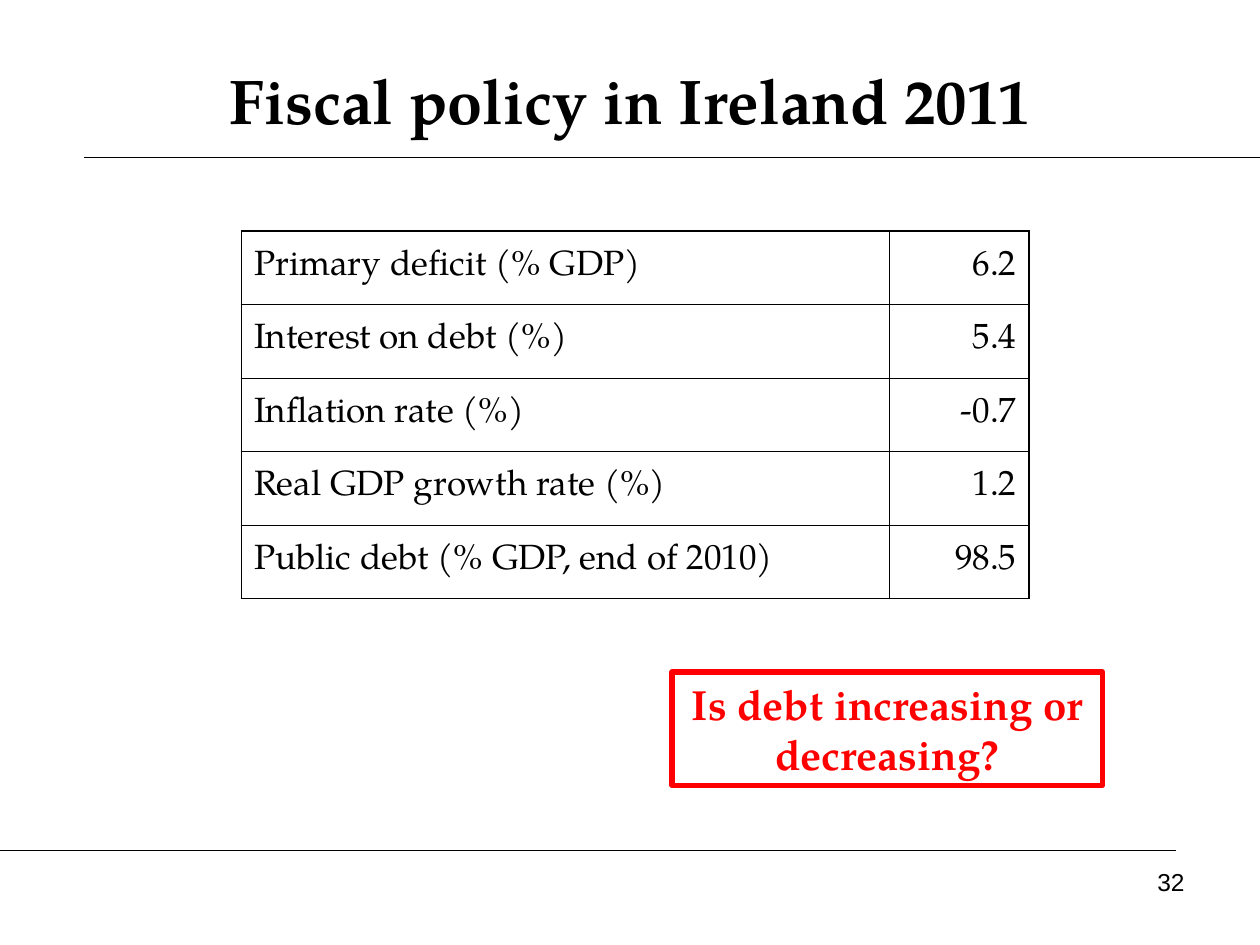
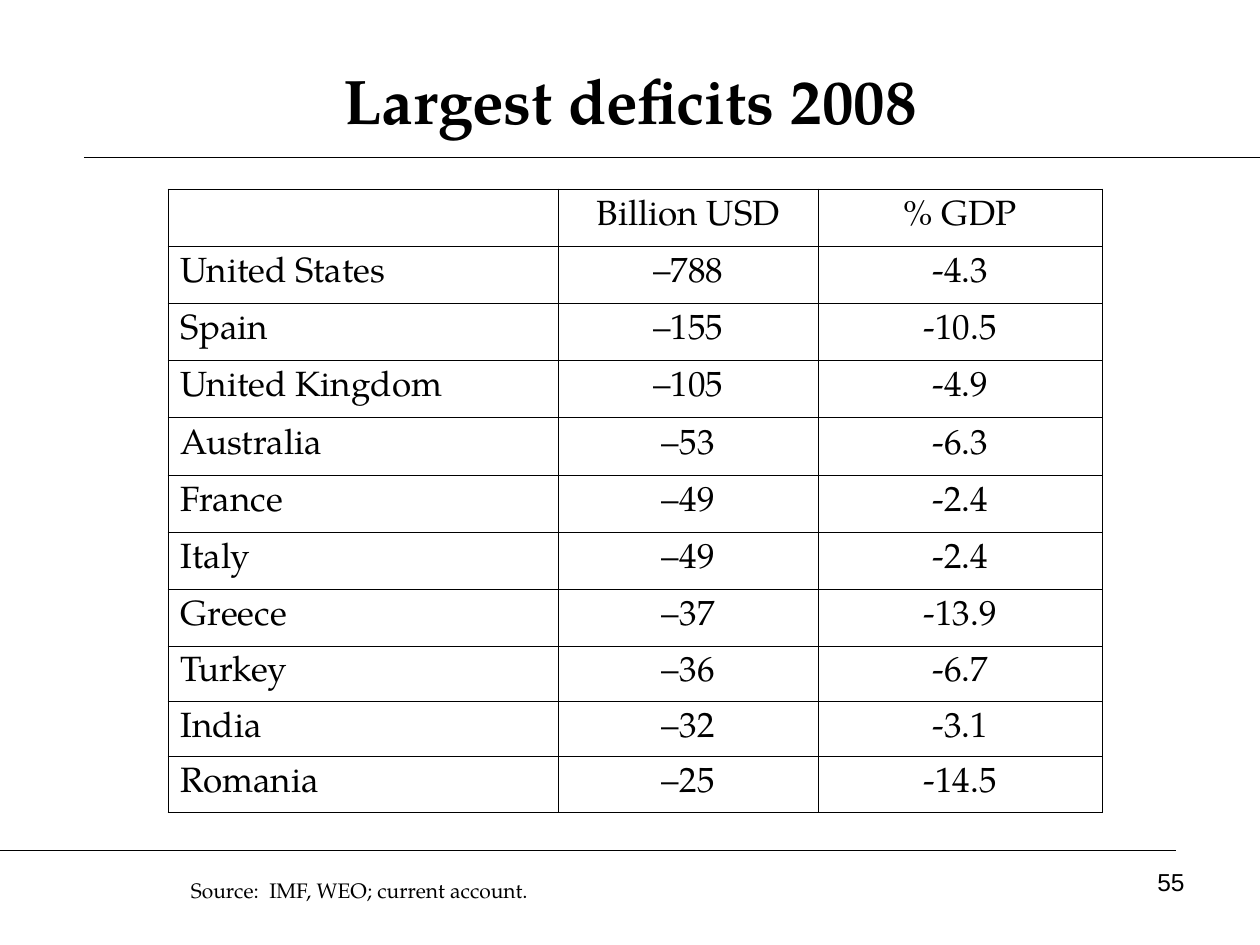
from lxml.etree import SubElement
from pptx import Presentation
from pptx.dml.color import RGBColor
from pptx.enum.shapes import MSO_CONNECTOR as Connector, MSO_SHAPE as Preset
from pptx.enum.text import MSO_ANCHOR as Anchor, PP_ALIGN as Align
from pptx.oxml.ns import qn
from pptx.util import Inches, Pt

UNIT = Inches(1) // 12
BLACK, RED = "000000", "FF0000"
SERIF, SANS = "TeX Gyre Pagella", "Arial"
THIN, THICK = 0.45, 1.08

IRELAND = [
    ("Primary deficit (% GDP)", "6.2"),
    ("Interest on debt (%)", "5.4"),
    ("Inflation rate (%)", "-0.7"),
    ("Real GDP growth rate (%)", "1.2"),
    ("Public debt (% GDP, end of 2010)", "98.5"),
]
DEFICITS = [
    ("", "Billion USD", "% GDP"),
    ("United States", "–788", "-4.3"),
    ("Spain", "–155", "-10.5"),
    ("United Kingdom", "–105", "-4.9"),
    ("Australia", "–53", "-6.3"),
    ("France", "–49", "-2.4"),
    ("Italy", "–49", "-2.4"),
    ("Greece", "–37", "-13.9"),
    ("Turkey", "–36", "-6.7"),
    ("India", "–32", "-3.1"),
    ("Romania", "–25", "-14.5"),
]


def color(code):
    return RGBColor.from_string(code)


def grid(*units):
    return [round(unit * UNIT) for unit in units]


def write(frame, text, size=20, font=SERIF, ink=BLACK, bold=False,
          align=Align.LEFT, anchor=Anchor.TOP):
    frame.word_wrap = True
    frame.vertical_anchor = anchor
    paragraph = frame.paragraphs[0]
    paragraph.text = text
    paragraph.alignment = align
    paragraph.font.size = Pt(size)
    paragraph.font.name = font
    paragraph.font.bold = bold
    paragraph.font.color.rgb = color(ink)


def add_label(slide, area, text, **style):
    label = slide.shapes.add_textbox(*grid(*area))
    write(label.text_frame, text, **style)


def add_rule(slide, start, end, row):
    rule = slide.shapes.add_connector(Connector.STRAIGHT, *grid(start, row, end, row))
    rule.line.color.rgb = color(BLACK)
    rule.line.width = Pt(0.75)
    SubElement(rule._element.spPr, qn("a:effectLst"))


def add_callout(slide, area, text):
    callout = slide.shapes.add_shape(Preset.RECTANGLE, *grid(*area))
    callout.shadow.inherit = False
    callout.fill.background()
    callout.line.color.rgb = color(RED)
    callout.line.width = Pt(3)
    write(callout.text_frame, text, size=24, ink=RED, bold=True, align=Align.CENTER)


def set_borders(cell, widths):
    properties = cell._tc.get_or_add_tcPr()
    for side, width in zip("LRTB", widths):
        border = SubElement(properties, qn(f"a:ln{side}"), w=str(Pt(width)))
        fill = SubElement(border, qn("a:solidFill"))
        SubElement(fill, qn("a:srgbClr"), val=BLACK)


def add_data_table(slide, corner, columns, heights, records, value_align, frame=THIN):
    area = grid(*corner, sum(columns), sum(heights))
    table = slide.shapes.add_table(len(records), len(columns), *area).table
    table.first_row = table.horz_banding = False
    for column, width in zip(table.columns, grid(*columns)):
        column.width = width
    for row, height in zip(table.rows, grid(*heights)):
        row.height = height
    last_row, last_column = len(records) - 1, len(columns) - 1
    for r, record in enumerate(records):
        for c, text in enumerate(record):
            cell = table.cell(r, c)
            outer = (c == 0, c == last_column, r == 0, r == last_row)
            set_borders(cell, [frame if edge else THIN for edge in outer])
            cell.fill.background()
            write(cell.text_frame, text, align=value_align if c else Align.LEFT)
            cell.vertical_anchor = Anchor.MIDDLE


def start_slide(deck, title, number):
    slide = deck.slides.add_slide(deck.slide_layouts[6])
    add_rule(slide, 8, 120, 15)
    add_rule(slide, 0, 112, 81)
    add_label(slide, (6, 4, 108, 11), title, size=36, bold=True,
              align=Align.CENTER, anchor=Anchor.MIDDLE)
    add_label(slide, (86, 82, 28, 6.25), number, size=14, font=SANS, align=Align.RIGHT)
    return slide


def main():
    deck = Presentation()
    deck.slide_width, deck.slide_height = grid(120, 90)

    ireland = start_slide(deck, "Fiscal policy in Ireland 2011", "32")
    add_data_table(ireland, (23, 22), (61.7, 13.3), [7] * len(IRELAND), IRELAND,
                   Align.RIGHT, frame=THICK)
    add_callout(ireland, (64, 64, 41, 10.8), "Is debt increasing or decreasing?")

    deficits = start_slide(deck, "Largest deficits 2008", "55")
    add_data_table(deficits, (16, 18), (37.2, 24.7, 27.1), [5.45] * 8 + [5.25] * 3,
                   DEFICITS, Align.CENTER)
    add_label(deficits, (17, 83, 43, 3.6), "Source:  IMF, WEO; current account.", size=12)

    deck.save("out.pptx")


if __name__ == "__main__":
    main()
